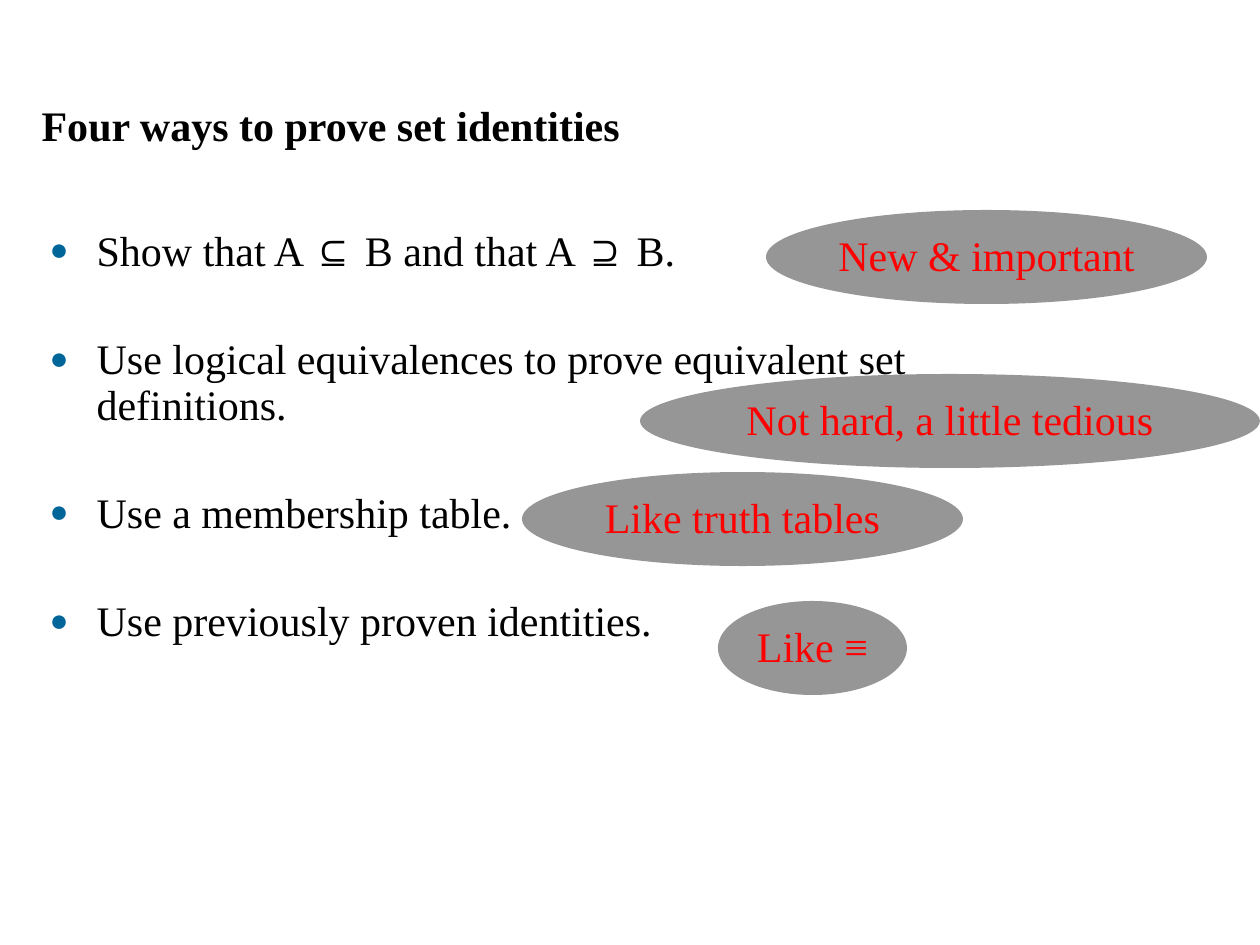
from lxml import etree
from pptx import Presentation
from pptx import util as u
from pptx.dml.color import RGBColor
from pptx.enum import shapes, text
from pptx.oxml.ns import qn

SCALE = 914400 / 126
FONT = "Times New Roman"
BLACK, RED, GRAY, BLUE = "000000", "FF0000", "969696", "006699"
WAYS = [
    "Show that A ⊆ B and that A ⊇ B.",
    "Use logical equivalences to prove equivalent set definitions.",
    "Use a membership table.",
    "Use previously proven identities.",
]
# Comment, left, top and width of each bubble
COMMENTS = [
    ("New & important", 766, 210, 441),
    ("Like truth tables", 522, 472, 441),
    ("Like ≡", 718, 601, 189),
    ("Not hard, a little tedious", 640, 374, 620),
]
BUBBLE_HEIGHT = 94


def px(length):
    return u.Emu(round(length * SCALE))


def color(value):
    return RGBColor.from_string(value)


def place(shape, box):
    shape.left, shape.top, shape.width, shape.height = map(px, box)


def format_text(shape, ink, alignment, bold=False, top_margin=11):
    frame = shape.text_frame
    frame.word_wrap = True
    frame.auto_size = text.MSO_AUTO_SIZE.NONE
    frame.vertical_anchor = text.MSO_ANCHOR.TOP
    frame.margin_top = px(top_margin)
    for para in frame.paragraphs:
        para.alignment = alignment
        para.space_before = u.Pt(0)
        for span in para.runs:
            span.font.name = FONT
            span.font.size = u.Pt(24)
            span.font.bold = bold
            span.font.color.rgb = color(ink)


def add_bullet(para, indent):
    properties = para._p.get_or_add_pPr()
    properties.set("marL", str(px(indent)))
    properties.set("indent", str(px(-indent)))
    bullet_color = etree.SubElement(properties, qn("a:buClr"))
    etree.SubElement(bullet_color, qn("a:srgbClr"), val=BLUE)
    etree.SubElement(properties, qn("a:buSzPct"), val="75000")
    etree.SubElement(properties, qn("a:buFont"), typeface=FONT)
    etree.SubElement(properties, qn("a:buChar"), char="●")


def fill_title(page, box):
    title = page.shapes.title
    place(title, box)
    title.text_frame.text = "Four ways to prove set identities"
    format_text(title, BLACK, text.PP_ALIGN.LEFT, bold=True)


def fill_list(page, box):
    body = page.placeholders[1]
    place(body, box)
    body.text_frame.text = "\n".join(WAYS)
    format_text(body, BLACK, text.PP_ALIGN.LEFT, top_margin=10)
    for index, para in enumerate(body.text_frame.paragraphs):
        para.line_spacing = 0.9
        para.space_before = u.Pt(36 if index else 0)
        add_bullet(para, 47)


def add_bubble(page, comment, box):
    """Group an ellipse with its comment, inset in proportion to the width."""
    left, top, width, height = box
    group = page.shapes.add_group_shape()
    ellipse = group.shapes.add_shape(shapes.MSO_SHAPE.OVAL, *map(px, box))
    ellipse.shadow.inherit = False
    ellipse.fill.solid()
    ellipse.fill.fore_color.rgb = color(GRAY)
    ellipse.line.fill.background()
    inset = round(width * 0.075)
    label_box = (left + inset, top + 9, width - 2 * inset, 63)
    label = group.shapes.add_textbox(*map(px, label_box))
    label.text_frame.text = comment
    format_text(label, RED, text.PP_ALIGN.CENTER)


def main():
    deck = Presentation()
    deck.slide_width, deck.slide_height = px(1260), px(945)
    page = deck.slides.add_slide(deck.slide_layouts[1])
    fill_title(page, (29, 88, 728, 64))
    fill_list(page, (37, 220, 1014, 489))
    for comment, left, top, width in COMMENTS:
        add_bubble(page, comment, (left, top, width, BUBBLE_HEIGHT))
    deck.save("out.pptx")


if __name__ == "__main__":
    main()
